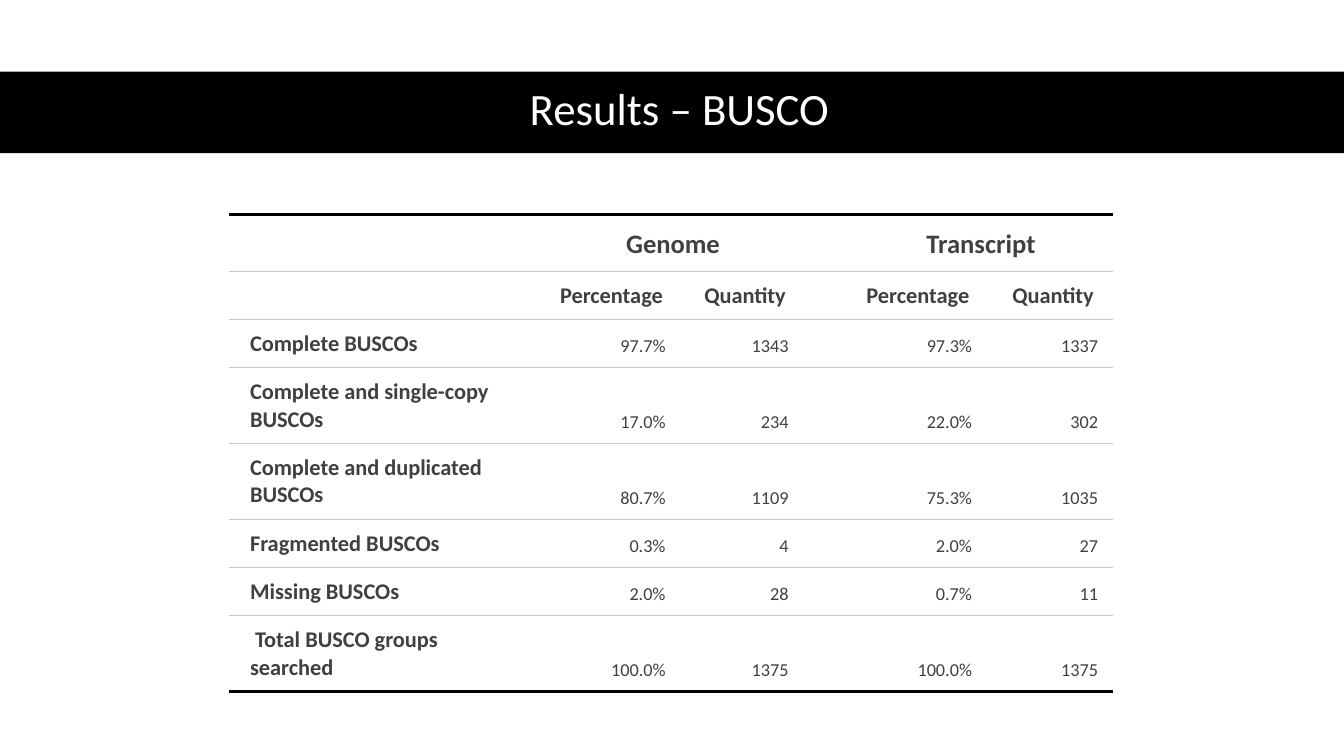
from dataclasses import dataclass

from lxml import etree
from pptx import Presentation
from pptx.dml.color import RGBColor
from pptx.enum.shapes import MSO_SHAPE
from pptx.enum.text import MSO_ANCHOR, PP_ALIGN
from pptx.oxml.ns import qn
from pptx.util import Inches, Pt

RECTANGLE = MSO_SHAPE.RECTANGLE
MIDDLE, BOTTOM = MSO_ANCHOR.MIDDLE, MSO_ANCHOR.BOTTOM
LEFT, CENTER, RIGHT = PP_ALIGN.LEFT, PP_ALIGN.CENTER, PP_ALIGN.RIGHT


@dataclass(frozen=True)
class Theme:
    font: str = "Calibri"
    black: str = "000000"
    white: str = "FFFFFF"
    text: str = "404040"
    rule: str = "C7C6C1"
    title_size: float = 32
    group_size: float = 19
    label_size: float = 16
    value_size: float = 13
    thick: float = 2.25
    thin: float = 0.75


theme = Theme()


def write(text_frame, text, size, color, alignment, bold=False):
    text_frame.text = text
    paragraph = text_frame.paragraphs[0]
    paragraph.alignment = alignment
    font = paragraph.runs[0].font
    font.name = theme.font
    font.size = Pt(size)
    font.bold = bold
    font.color.rgb = RGBColor.from_string(color)


def set_borders(cell, top, bottom):
    properties = cell._tc.get_or_add_tcPr()
    sides = (("a:lnL", None), ("a:lnR", None), ("a:lnT", top), ("a:lnB", bottom))
    for position, (tag, border) in enumerate(sides):
        line = etree.Element(qn(tag))
        properties.insert(position, line)
        if border is None:
            etree.SubElement(line, qn("a:noFill"))
            continue
        color, width = border
        line.set("w", str(Pt(width)))
        fill = etree.SubElement(line, qn("a:solidFill"))
        etree.SubElement(fill, qn("a:srgbClr"), val=color)


presentation = Presentation()
presentation.slide_width = Inches(13.33)
presentation.slide_height = Inches(7.5)
slide = presentation.slides.add_slide(presentation.slide_layouts[6])

band = slide.shapes.add_shape(RECTANGLE, 0, Inches(0.71), Inches(13.33), Inches(0.81))
band.shadow.inherit = False
band.fill.solid()
band.fill.fore_color.rgb = RGBColor.from_string(theme.black)
band.line.fill.background()

title = slide.shapes.add_textbox(Inches(0.61), Inches(0.7), Inches(12.26), Inches(0.81))
title.text_frame.word_wrap = True
title.text_frame.vertical_anchor = MIDDLE
write(title.text_frame, "Results – BUSCO", theme.title_size, theme.white, CENTER)
title.text_frame.paragraphs[0].line_spacing = 0.9

rows = [
    ["", "Genome", "", "", "Transcript", ""],
    ["", "Percentage", "Quantity", "", "Percentage", "Quantity"],
    ["Complete BUSCOs", "97.7%", "1343", "", "97.3%", "1337"],
    ["Complete and single-copy BUSCOs", "17.0%", "234", "", "22.0%", "302"],
    ["Complete and duplicated BUSCOs", "80.7%", "1109", "", "75.3%", "1035"],
    ["Fragmented BUSCOs", "0.3%", "4", "", "2.0%", "27"],
    ["Missing BUSCOs", "2.0%", "28", "", "0.7%", "11"],
    [" Total BUSCO groups searched", "100.0%", "1375", "", "100.0%", "1375"],
]
column_widths = [3.05, 1.43, 1.22, 0.39, 1.43, 1.25]
row_heights = [0.56, 0.48, 0.48, 0.75, 0.75, 0.48, 0.48, 0.75]

table = slide.shapes.add_table(
    len(rows), len(column_widths), Inches(2.27), Inches(2.13),
    Inches(sum(column_widths)), Inches(sum(row_heights)),
).table
table.first_row = False
table.horz_banding = False
for column, width in zip(table.columns, column_widths):
    column.width = Inches(width)
for row, height in zip(table.rows, row_heights):
    row.height = Inches(height)
for first_column in (1, 4):
    table.cell(0, first_column).merge(table.cell(0, first_column + 1))

outer_border = (theme.black, theme.thick)
inner_border = (theme.rule, theme.thin)
last_row = len(rows) - 1

for row_index, row_values in enumerate(rows):
    for column_index, text in enumerate(row_values):
        cell = table.cell(row_index, column_index)
        cell.fill.background()
        set_borders(
            cell,
            outer_border if row_index == 0 else inner_border,
            outer_border if row_index == last_row else inner_border,
        )
        if not text:
            continue
        cell.vertical_anchor = BOTTOM
        cell.margin_left, cell.margin_right = Inches(0.21), Inches(0.15)
        cell.margin_top = cell.margin_bottom = Inches(0.1)
        if row_index == 0:
            size, alignment = theme.group_size, CENTER
        elif row_index == 1:
            size, alignment = theme.label_size, CENTER
        elif column_index == 0:
            size, alignment = theme.label_size, LEFT
        else:
            size, alignment = theme.value_size, RIGHT
        bold = row_index < 2 or column_index == 0
        write(cell.text_frame, text, size, theme.text, alignment, bold)

presentation.save("out.pptx")
